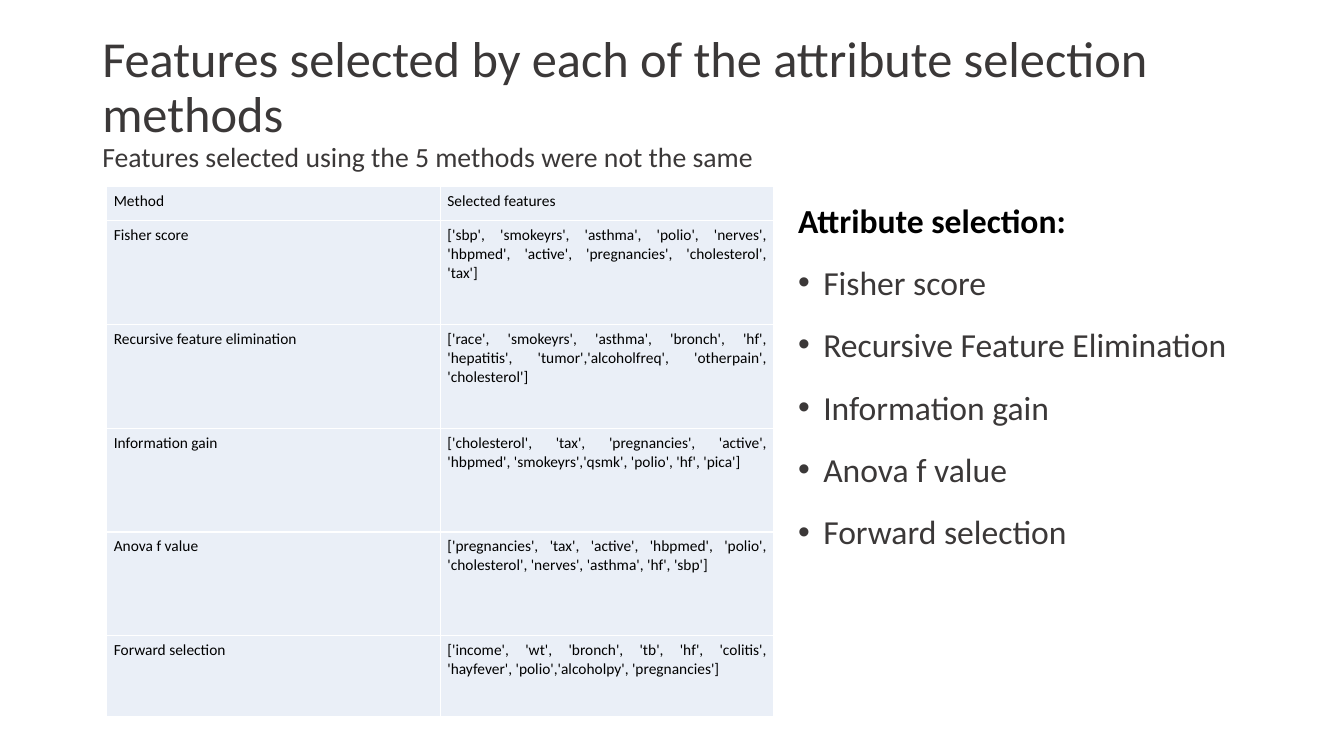
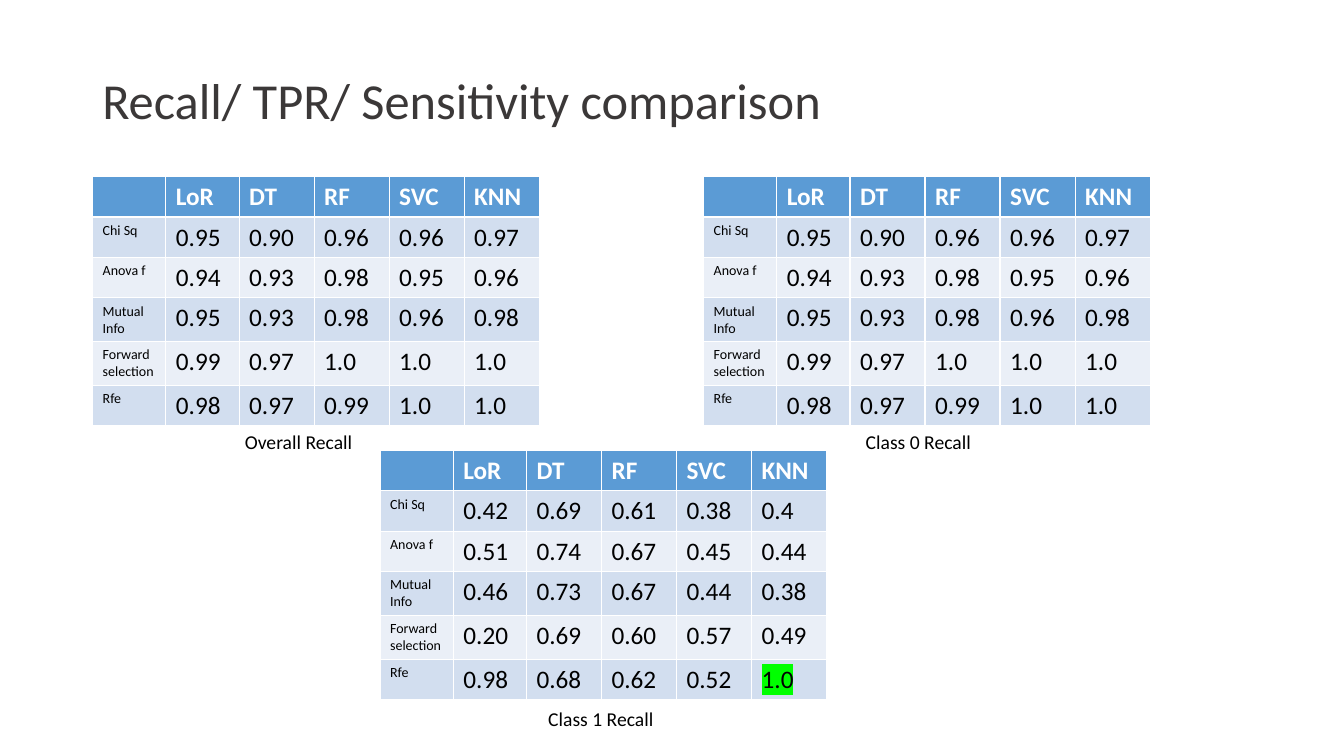
from lxml.etree import SubElement
from pptx import Presentation
from pptx.dml.color import RGBColor
from pptx.enum.text import MSO_ANCHOR, PP_ALIGN
from pptx.oxml.ns import qn
from pptx.util import Pt

FONT = "Calibri"
DARK, BLACK, WHITE = "3B3838", "000000", "FFFFFF"
BLUE, BAND, PALE, GREEN = "5B9BD5", "D2DEEF", "EAEFF7", "00FF00"
TITLE = (66, 15.5, 828, 117)

deck = Presentation()
deck.slide_width, deck.slide_height = Pt(960), Pt(540)
blank = deck.slide_layouts[6]


def color(code):
    return RGBColor.from_string(code)


def write(frame, text, size=18, ink=BLACK, bold=False, align=PP_ALIGN.LEFT,
          line=None, before=0, bullet=False, mark=None):
    """Add one paragraph, using the first one while it is still empty."""
    para = frame.paragraphs[0]
    if para.runs:
        para = frame.add_paragraph()
    para.alignment, para.line_spacing = align, line
    para.space_before = Pt(before)
    if bullet:
        props = para._p.get_or_add_pPr()
        props.set("marL", str(Pt(18)))
        props.set("indent", str(-Pt(18)))
        SubElement(props, qn("a:buFont"), typeface="Arial")
        SubElement(props, qn("a:buChar"), char="•")
    run = para.add_run()
    run.text = text
    font = run.font
    font.size, font.bold = Pt(size), bold
    font.color.rgb = color(ink)
    if mark:
        light = SubElement(run._r.get_or_add_rPr(), qn("a:highlight"))
        SubElement(light, qn("a:srgbClr"), val=mark)
    font.name = FONT


# Slides with their titles
heads = [
    [("Features selected by each of the attribute selection methods", 36),
     ("Features selected using the 5 methods were not the same", 19.8)],
    [("Recall/ TPR/ Sensitivity comparison", 36)],
]
slides = []
for head in heads:
    slide = deck.slides.add_slide(blank)
    frame = slide.shapes.add_textbox(*map(Pt, TITLE)).text_frame
    frame.word_wrap = True
    frame.vertical_anchor = MSO_ANCHOR.MIDDLE
    for text, size in head:
        write(frame, text, size=size, ink=DARK, line=0.9)
    slides.append(slide)
first, second = slides

# Slide 1: selected features
picks = [
    ("Method", "Selected features", 24.5),
    ("Fisher score", "['sbp', 'smokeyrs', 'asthma', 'polio', 'nerves', 'hbpmed', "
     "'active', 'pregnancies', 'cholesterol', 'tax']", 74.1),
    ("Recursive feature elimination", "['race', 'smokeyrs', 'asthma', 'bronch', 'hf', "
     "'hepatitis', 'tumor','alcoholfreq', 'otherpain', 'cholesterol']", 74.1),
    ("Information gain", "['cholesterol', 'tax', 'pregnancies', 'active', 'hbpmed', "
     "'smokeyrs','qsmk', 'polio', 'hf', 'pica']", 74.1),
    ("Anova f value", "['pregnancies', 'tax', 'active', 'hbpmed', 'polio', "
     "'cholesterol', 'nerves', 'asthma', 'hf', 'sbp']", 74.1),
    ("Forward selection", "['income', 'wt', 'bronch', 'tb', 'hf', 'colitis', "
     "'hayfever', 'polio','alcoholpy', 'pregnancies']", 57.8),
]
high = sum(pick[2] for pick in picks)
grid = first.shapes.add_table(len(picks), 2, Pt(76.3), Pt(133.2),
                              Pt(476.6), Pt(high)).table
grid.first_row = grid.horz_banding = False
for row, (*texts, tall) in enumerate(picks):
    grid.rows[row].height = Pt(tall)
    for col, text in enumerate(texts):
        cell = grid.cell(row, col)
        cell.margin_left = cell.margin_right = Pt(5)
        cell.fill.solid()
        cell.fill.fore_color.rgb = color(PALE)
        write(cell.text_frame, text, size=11, align=PP_ALIGN.JUSTIFY)

# Slide 1: list of methods
frame = first.shapes.add_textbox(Pt(563), Pt(133.2), Pt(337), Pt(378.7)).text_frame
frame.word_wrap = True
write(frame, "Attribute selection:", size=24, bold=True, line=1.2, before=10)
for text in ("Fisher score", "Recursive Feature Elimination", "Information gain",
             "Anova f value", "Forward selection"):
    write(frame, text, size=24, ink=DARK, line=1.2, before=10, bullet=True)

# Slide 2: recall tables, each with its caption
models = ["", "LoR", "DT", "RF", "SVC", "KNN"]
methods = ["Chi Sq", "Anova f", "Mutual Info", "Forward selection", "Rfe"]
widths = [52.3] * 2 + [53.6] * 4
heights = [28.8] * 3 + [31] * 2 + [28.8]
main = ["0.95 0.90 0.96 0.96 0.97", "0.94 0.93 0.98 0.95 0.96",
        "0.95 0.93 0.98 0.96 0.98", "0.99 0.97 1.0 1.0 1.0",
        "0.98 0.97 0.99 1.0 1.0"]
minor = ["0.42 0.69 0.61 0.38 0.4", "0.51 0.74 0.67 0.45 0.44",
         "0.46 0.73 0.67 0.44 0.38", "0.20 0.69 0.60 0.57 0.49",
         "0.98 0.68 0.62 0.52 1.0"]
best = ("Class 1 Recall", 5, 5)
panels = [
    ("Overall Recall", main, 66.2, 126.2, 167.8, 303.8),
    ("Class 0 Recall", main, 502.6, 126.2, 611.3, 303.8),
    ("Class 1 Recall", minor, 271.5, 321.8, 384.5, 501.1),
]
for name, scores, left, top, side, foot in panels:
    grid = second.shapes.add_table(len(heights), len(widths), Pt(left), Pt(top),
                                   Pt(sum(widths)), Pt(sum(heights))).table
    for col, wide in enumerate(widths):
        grid.columns[col].width = Pt(wide)
    lines = [models] + [[label, *score.split()]
                        for label, score in zip(methods, scores)]
    for row, line in enumerate(lines):
        grid.rows[row].height = Pt(heights[row])
        shade = BLUE if row == 0 else BAND if row % 2 else PALE
        for col, text in enumerate(line):
            cell = grid.cell(row, col)
            cell.fill.solid()
            cell.fill.fore_color.rgb = color(shade)
            if text:
                write(cell.text_frame, text, size=10 if col == 0 else 18,
                      ink=BLACK if row else WHITE, bold=row == 0,
                      mark=GREEN if (name, row, col) == best else None)
    frame = second.shapes.add_textbox(Pt(side), Pt(foot), Pt(96.5), Pt(24.5)).text_frame
    frame.word_wrap = False
    write(frame, name, size=14)

deck.save("out.pptx")
